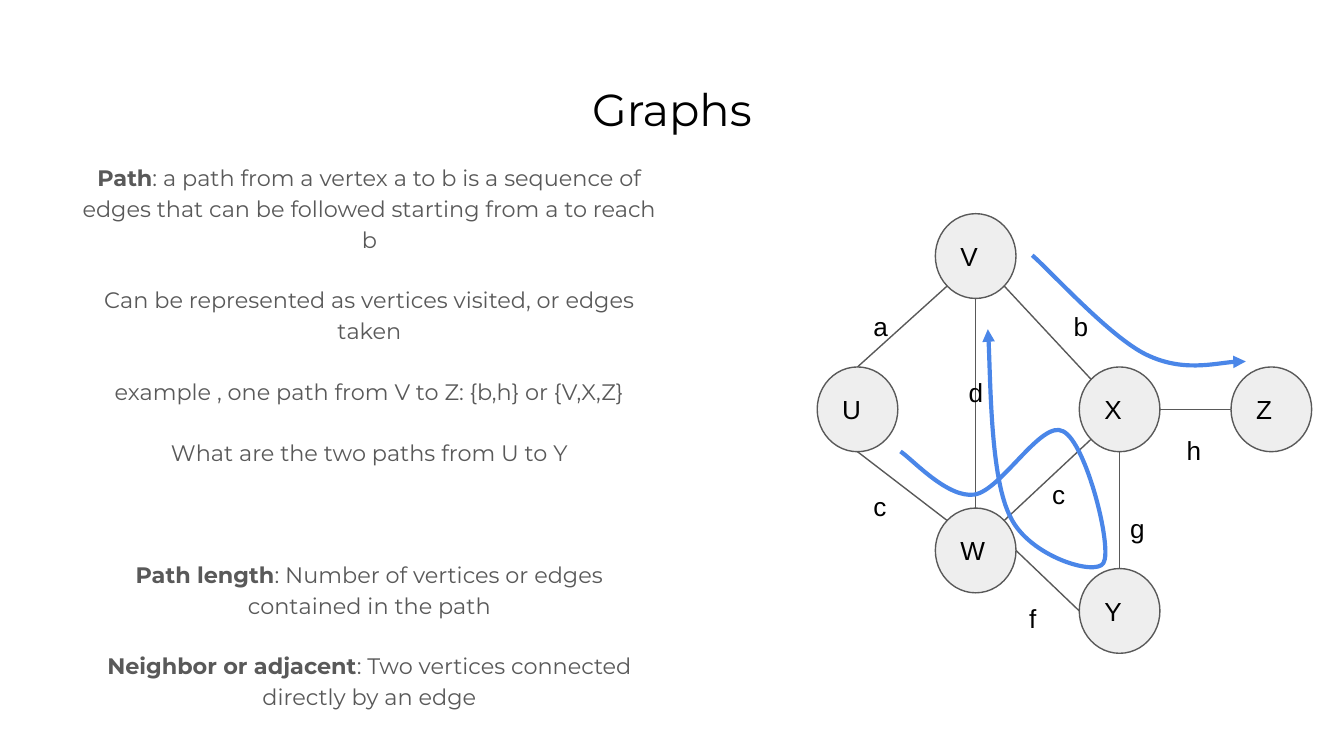
"""Build a slide that explains paths in a graph beside a drawn example."""
import itertools
import lxml.etree
import pptx
import pptx.dml.color
import pptx.enum.shapes
import pptx.enum.text
import pptx.oxml.ns
import pptx.util

Pt = pptx.util.Pt
qn = pptx.oxml.ns.qn
ALIGN = pptx.enum.text.PP_ALIGN
COLORS = {"text": "000000", "body": "595959", "node": "EEEEEE", "edge": "595959", "route": "4A86E8"}


def rgb(name):
    return pptx.dml.color.RGBColor.from_string(COLORS[name])


def write(p, text, font="Arial", size=14, color="text", bold=False, align=ALIGN.LEFT):
    p.alignment = align
    r = p.add_run()
    r.text = text
    r.font.name, r.font.size, r.font.bold = font, Pt(size), bold
    r.font.color.rgb = rgb(color)


prs = pptx.Presentation()
prs.slide_width, prs.slide_height = Pt(720), Pt(405)
s = prs.slides.add_slide(prs.slide_layouts[1])
title, body = s.placeholders
boxes = [(title, (24.5, 35.3, 671, 45.4)), (body, (33.8, 78.5, 328.3, 296))]
for sp, box in boxes:
    sp.left, sp.top, sp.width, sp.height = map(Pt, box)
    tf = sp.text_frame
    tf.margin_left = tf.margin_right = tf.margin_top = tf.margin_bottom = Pt(7.2)
    tf.word_wrap = True
    tf.auto_size = pptx.enum.text.MSO_AUTO_SIZE.NONE

write(title.text_frame.paragraphs[0], "Graphs", font="Montserrat", size=24, align=ALIGN.CENTER)

paragraphs = [
    ("Path", ": a path from a vertex a to b is a sequence of edges that can be followed starting from a to reach b", 0),
    ("", "Can be represented as vertices visited, or edges taken", 16),
    ("", "example , one path from V to Z: {b,h} or {V,X,Z}", 16),
    ("", "What are the two paths from U to Y", 16),
    ("Path length", ": Number of vertices or edges contained in the path", 48.8),
    ("Neighbor or adjacent", ": Two vertices connected directly by an edge", 16),
]
tf = body.text_frame
for i, (term, text, before) in enumerate(paragraphs):
    p = tf.add_paragraph() if i else tf.paragraphs[0]
    p.line_spacing, p.space_before, p.space_after = 1.15, Pt(before), Pt(0)
    pPr = p._p.get_or_add_pPr()
    pPr.set("marL", "0")
    pPr.set("indent", "0")
    lxml.etree.SubElement(pPr, qn("a:buNone"))
    for part, bold in ((term, True), (text, False)):
        if part:
            write(p, part, font="Montserrat", size=12, color="body", bold=bold, align=ALIGN.CENTER)

graph = s.shapes.add_group_shape().shapes
node_w, node_h = 43.2, 45.4
nodes = {"U": (437.8, 196.6), "W": (501.1, 272.2), "X": (578.2, 196.6),
         "Y": (578.2, 304.6), "V": (501.1, 114.5), "Z": (659.5, 196.6)}
for name, (x, y) in nodes.items():
    sp = graph.add_shape(pptx.enum.shapes.MSO_SHAPE.OVAL, Pt(x), Pt(y), Pt(node_w), Pt(node_h))
    sp.shadow.inherit = False
    sp.fill.solid()
    sp.fill.fore_color.rgb = rgb("node")
    sp.line.color.rgb, sp.line.width = rgb("edge"), Pt(0.75)
    tf = sp.text_frame
    tf.vertical_anchor = pptx.enum.text.MSO_ANCHOR.MIDDLE
    tf.margin_left = tf.margin_right = tf.margin_top = tf.margin_bottom = Pt(7.2)
    write(tf.paragraphs[0], name)

sites = {"N": (0.5, 0), "S": (0.5, 1), "W": (0, 0.5), "E": (1, 0.5),
         "NW": (0.15, 0.15), "NE": (0.85, 0.15), "SW": (0.15, 0.85), "SE": (0.85, 0.85)}
edges = [("U", "S", "W", "NW"), ("W", "NE", "X", "SW"), ("X", "S", "Y", "N"), ("Y", "W", "W", "E"),
         ("V", "S", "W", "N"), ("U", "N", "V", "SW"), ("V", "SE", "X", "NW"), ("X", "E", "Z", "W")]
for start, start_site, end, end_site in edges:
    ends = []
    for node, site in ((start, start_site), (end, end_site)):
        (x, y), (dx, dy) = nodes[node], sites[site]
        ends += [Pt(x + dx * node_w), Pt(y + dy * node_h)]
    line = graph.add_connector(pptx.enum.shapes.MSO_CONNECTOR.STRAIGHT, *ends)
    line.line.color.rgb, line.line.width = rgb("edge"), Pt(0.75)
    lxml.etree.SubElement(line._element.spPr, qn("a:effectLst"))

labels = [("a", 460.8, 159.1), ("b", 568.1, 159.1), ("d", 511.9, 194.4), ("c", 460.8, 255.6),
          ("c", 556.6, 249.1), ("f", 544.3, 315.4), ("h", 628.6, 225.4), ("g", 598.3, 267.1)]
for name, x, y in labels:
    sp = graph.add_textbox(Pt(x), Pt(y), Pt(21.6), Pt(15.1))
    tf = sp.text_frame
    tf.word_wrap = True
    tf.margin_left = tf.margin_right = tf.margin_top = tf.margin_bottom = Pt(7.2)
    write(tf.paragraphs[0], name)

routes = [
    [(553, 136.8), (563, 145.4), (594.7, 180.7), (614.2, 190.1), (633.6, 199.4), (658.8, 193), (667.4, 193.7)],
    [(482.4, 241.9), (488.9, 246.2), (507.6, 267.1), (522, 265), (536.4, 262.8), (558, 224.6), (569.5, 231.1),
     (581.8, 236.9), (596.2, 293.8), (591.1, 301.7), (586.8, 308.9), (551.5, 298.1), (541.4, 277.2),
     (530.6, 257), (530.6, 193), (529.2, 176.4)],
]
for route in routes:
    points = [(Pt(x), Pt(y)) for x, y in route]
    builder = s.shapes.build_freeform(*points[0])
    builder.add_line_segments(points[1:], close=False)
    sp = builder.convert_to_shape()
    outline = next(sp._element.iter(qn("a:path")))
    steps = outline.findall(qn("a:lnTo"))
    for first in range(0, len(steps), 3):
        curve = lxml.etree.SubElement(outline, qn("a:cubicBezTo"))
        for step in itertools.islice(steps, first, first + 3):
            curve.append(step[0])
            outline.remove(step)
    sp.shadow.inherit = False
    sp.fill.background()
    sp.line.color.rgb, sp.line.width = rgb("route"), Pt(2.25)
    lxml.etree.SubElement(sp.line._get_or_add_ln(), qn("a:tailEnd"), type="triangle")

prs.save("out.pptx")
